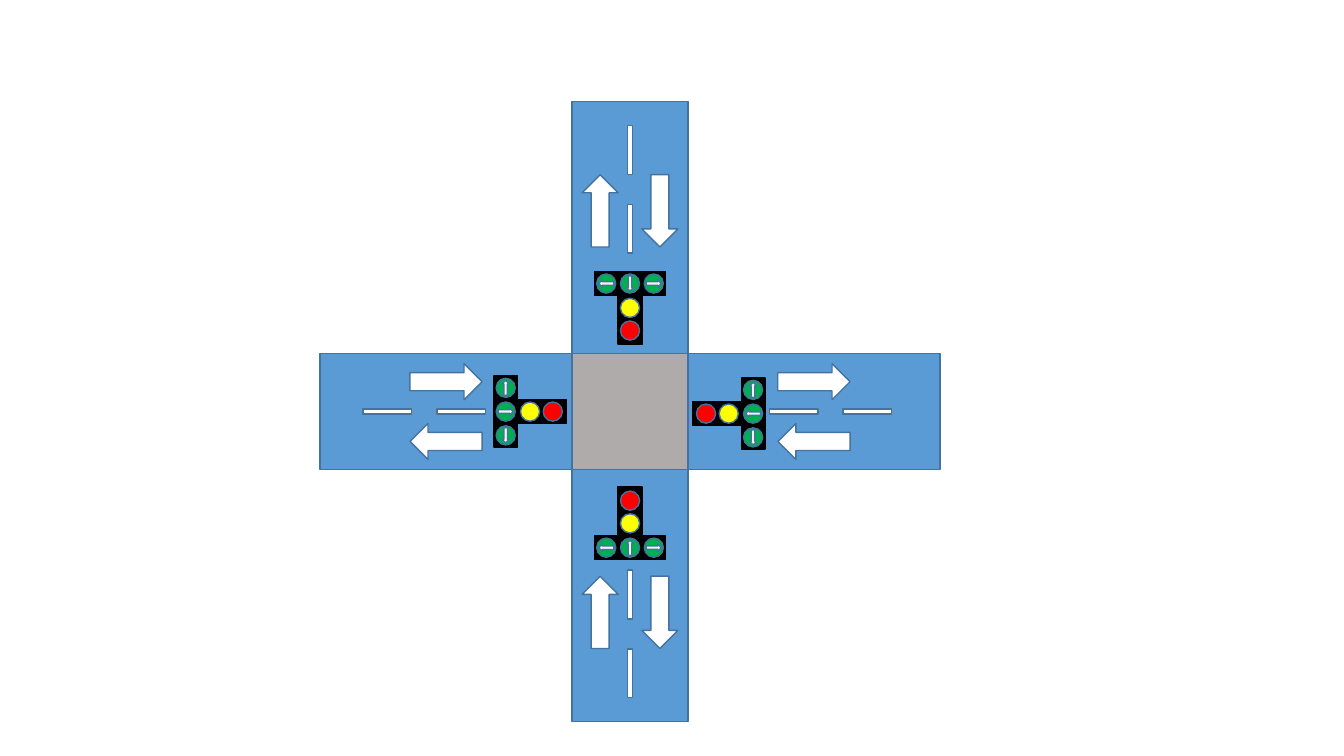
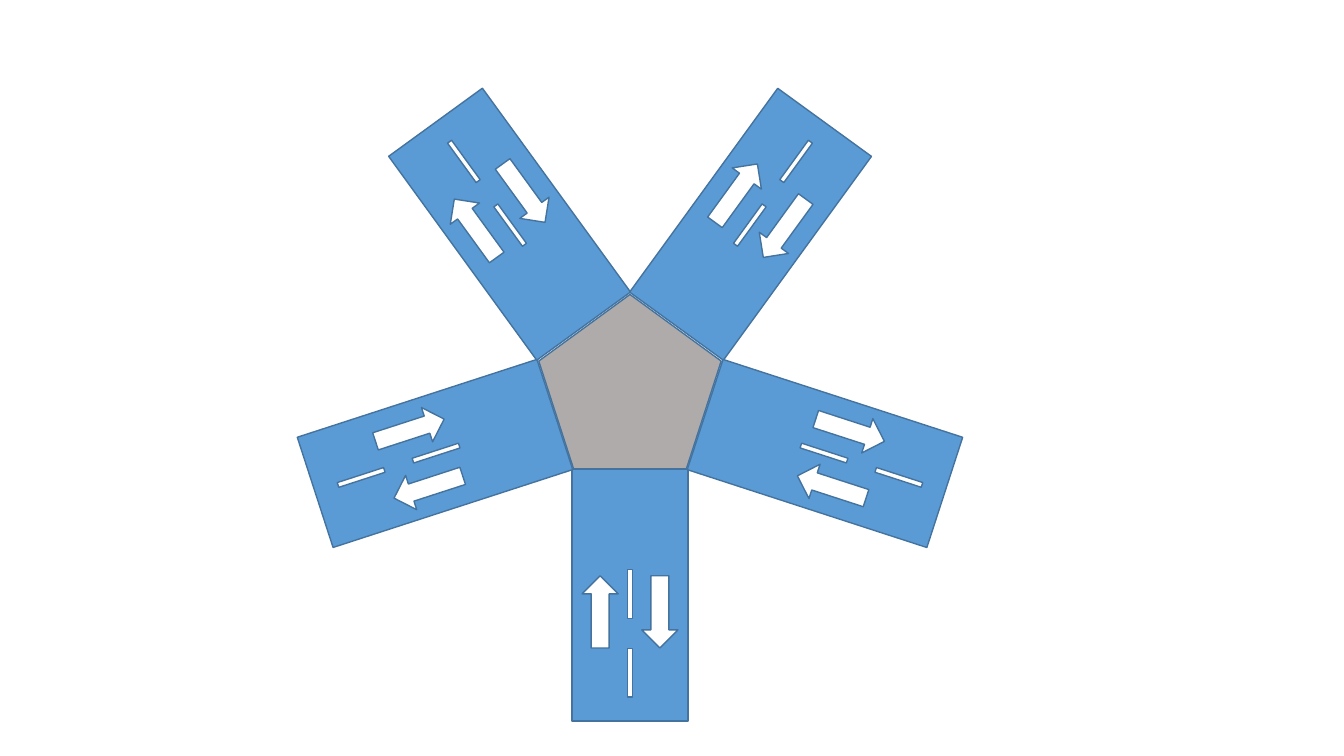
from dataclasses import dataclass
from math import cos, radians, sin

from pptx import Presentation
from pptx.dml.color import RGBColor
from pptx.enum.shapes import MSO_SHAPE
from pptx.shapes.group import GroupShape
from pptx.slide import Slide
from pptx.util import Inches, Pt

RECTANGLE = MSO_SHAPE.RECTANGLE
ELLIPSE = MSO_SHAPE.OVAL
ARROW = MSO_SHAPE.RIGHT_ARROW
PENTAGON = MSO_SHAPE.REGULAR_PENTAGON

COLUMNS, ROWS = 160, 90
SLIDE_WIDTH, SLIDE_HEIGHT = Inches(13.333), Inches(7.5)
CELL = SLIDE_HEIGHT / ROWS

ROAD, OUTLINE, PAVING, MARKING = "5B9BD5", "43739E", "AFABAB", "FFFFFF"
HOUSING, GREEN, YELLOW, RED, SYMBOL = "000000", "00B050", "FFFF00", "FF0000", "F2F2F2"

ROAD_LENGTH, ROAD_WIDTH = 30, 13.8
LANE_OFFSET = 3.55
LAMP_SIZE, LAMP_GAP = 2.28, 2.83
GREEN_ROW = 2.9


@dataclass(frozen=True)
class Part:
    kind: MSO_SHAPE
    width: float
    height: float
    fill: str
    outward: float = 0
    sideways: float = 0
    turn: float = 0
    outline: str = OUTLINE


@dataclass(frozen=True)
class Arm:
    heading: float
    dashes: tuple[float, float] = (9.25, -0.12)
    arrows: float = 2


@dataclass(frozen=True)
class Signal:
    heading: float
    distance: float
    shift: float = 0


@dataclass(frozen=True)
class Junction:
    column: float
    row: float
    reach: float
    centre: Part
    arms: tuple[Arm, ...]
    signals: tuple[Signal, ...] = ()


def colour(code: str) -> RGBColor:
    return RGBColor.from_string(code)


def draw_part(target: Slide | GroupShape, part: Part, column: float, row: float, heading: float) -> None:
    angle = radians(heading)
    middle = column + part.outward * cos(angle) - part.sideways * sin(angle)
    level = row + part.outward * sin(angle) + part.sideways * cos(angle)
    corner_and_size = (middle - part.width / 2, level - part.height / 2, part.width, part.height)
    shape = target.shapes.add_shape(part.kind, *(round(cells * CELL) for cells in corner_and_size))
    shape.rotation = (heading + part.turn) % 360
    shape.shadow.inherit = False
    shape.fill.solid()
    shape.fill.fore_color.rgb = colour(part.fill)
    shape.line.color.rgb = colour(part.outline)
    shape.line.width = Pt(1)


def arm_parts(arm: Arm, reach: float) -> list[Part]:
    road = Part(RECTANGLE, ROAD_LENGTH, ROAD_WIDTH, ROAD, reach, turn=180)
    dashes = [Part(RECTANGLE, 5.8, 0.6, MARKING, reach + dash) for dash in arm.dashes]
    arrows = [
        Part(ARROW, 8.6, 4.3, MARKING, reach + arm.arrows, side * LANE_OFFSET, turn)
        for side, turn in ((1, 180), (-1, 0))
    ]
    return [road, *dashes, *arrows]


def signal_parts(signal: Signal) -> list[Part]:
    distance, shift = signal.distance, signal.shift
    row = distance + GREEN_ROW
    positions = [shift + side * LAMP_GAP for side in (-1, 1, 0)]
    stem = Part(RECTANGLE, 2.9, 8.65, HOUSING, distance, shift, -90, HOUSING)
    wings = [Part(RECTANGLE, 2.8, 2.8, HOUSING, row, place, -90, HOUSING) for place in positions[:2]]
    greens = [Part(ELLIPSE, LAMP_SIZE, LAMP_SIZE, GREEN, row, place, -90) for place in positions]
    others = [
        Part(ELLIPSE, LAMP_SIZE, LAMP_SIZE, fill, distance + offset, shift, -90)
        for fill, offset in ((YELLOW, 0), (RED, -2.7))
    ]
    symbols = [
        Part(ARROW, 1.8, 0.85, SYMBOL, row, place, turn)
        for place, turn in zip(positions, (-90, 90, 180))
    ]
    return [stem, *wings, *greens, *others, *symbols]


def draw_group(page: Slide, junction: Junction, parts: list[Part], heading: float) -> None:
    group = page.shapes.add_group_shape()
    for part in parts:
        draw_part(group, part, junction.column, junction.row, heading)


def draw_junction(page: Slide, junction: Junction) -> None:
    draw_part(page, junction.centre, junction.column, junction.row, 0)
    for arm in junction.arms:
        draw_group(page, junction, arm_parts(arm, junction.reach), arm.heading)
    for signal in junction.signals:
        draw_group(page, junction, signal_parts(signal), signal.heading)


CROSSROADS = Junction(
    column=75,
    row=49,
    reach=21.9,
    centre=Part(RECTANGLE, ROAD_WIDTH, ROAD_WIDTH, PAVING),
    arms=(Arm(180, (7, -1.8), 0), Arm(0, (6.35, -2.4), 0), Arm(90), Arm(270)),
    signals=(Signal(90, 13.3), Signal(270, 12.35), Signal(0, 11.75, 0.24), Signal(180, 11.9)),
)
FIVE_WAY = Junction(
    column=75,
    row=46.44,
    reach=24.4,
    centre=Part(PENTAGON, 21.72, 20.76, PAVING, sideways=-1),
    arms=tuple(Arm(90 + index * 360 / 5) for index in range(5)),
)

deck = Presentation()
deck.slide_width, deck.slide_height = SLIDE_WIDTH, SLIDE_HEIGHT
for junction in (CROSSROADS, FIVE_WAY):
    draw_junction(deck.slides.add_slide(deck.slide_layouts[6]), junction)
deck.save("out.pptx")
